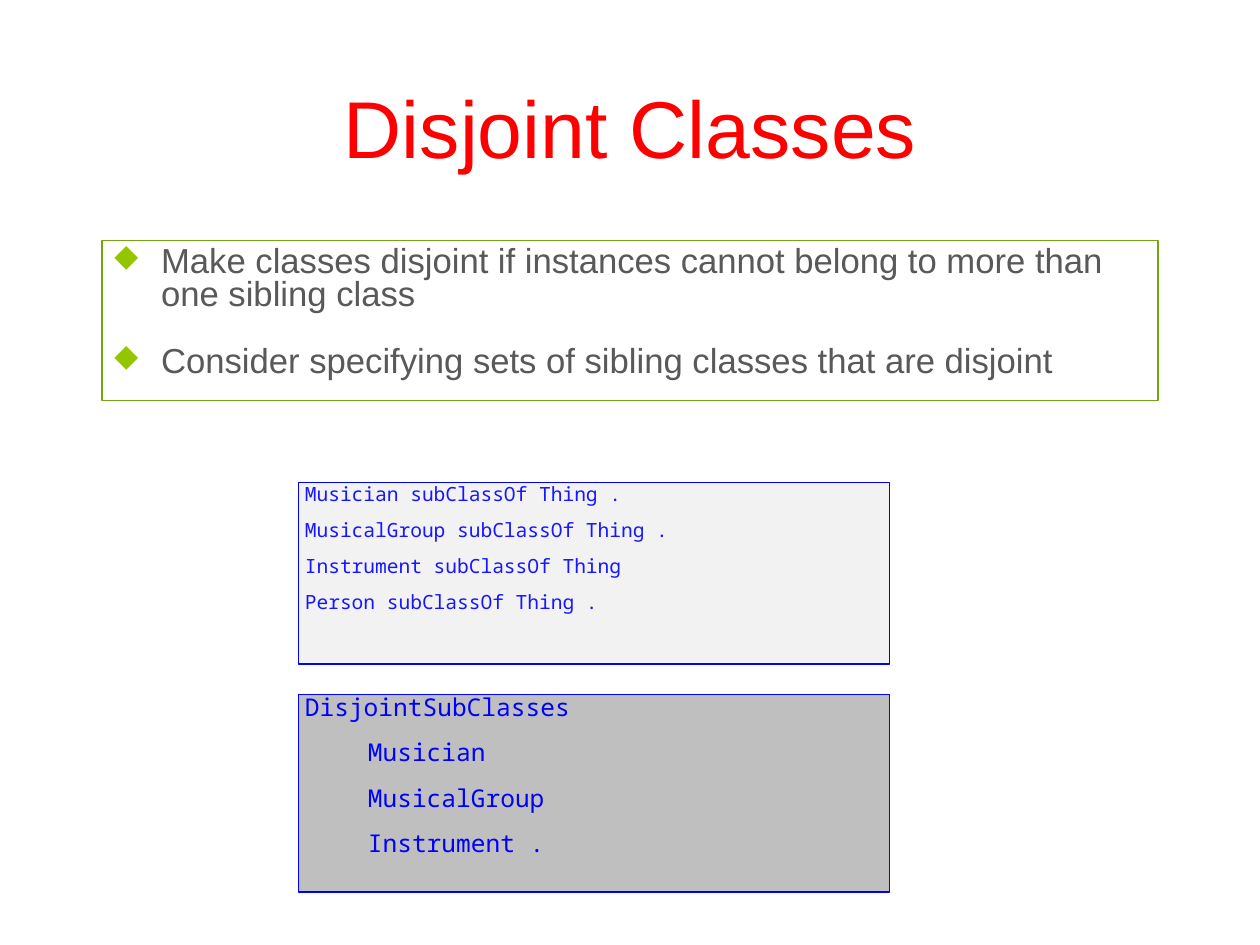
"""Build a slide on disjoint classes with two code panels."""
import pptx
import pptx.dml.color
import pptx.enum.shapes
import pptx.enum.text
import pptx.oxml.ns
import pptx.util
from lxml import etree

THEME = {
    "title": {"font": "Arial", "size": 46, "ink": "FF0000"},
    "points": {"font": "Arial", "size": 19.8, "ink": "595959", "fill": "FFFFFF",
               "line": "74A510", "gap": 19, "lead": 0.8, "mark": "94C600"},
    "code": {"font": "Noto Sans Mono", "size": 11.2, "ink": "1717FE", "fill": "F2F2F2",
             "line": "0000FF", "gap": 11, "lead": 0.7, "inset": 0.05},
    "sets": {"font": "Noto Sans Mono", "size": 14, "ink": "0000FF", "fill": "BFBFBF",
             "line": "0000FF", "gap": 14, "lead": 0.7, "inset": 0.05},
}
WIDE, HIGH = 10, 7.5
TITLE = "Disjoint Classes"
LEFT, SPAN = 2.37, 4.69
PANELS = [
    ("points", (0.81, 1.91, WIDE - 2 * 0.81, 1.27), [
        "Make classes disjoint if instances cannot belong to more than one sibling class",
        "Consider specifying sets of sibling classes that are disjoint",
    ]),
    ("code", (LEFT, 3.83, SPAN, 1.44), [
        "Musician subClassOf Thing .",
        "MusicalGroup subClassOf Thing .",
        "Instrument subClassOf Thing",
        "Person subClassOf Thing .",
    ]),
    ("sets", (LEFT, 5.51, SPAN, 1.57), [
        "DisjointSubClasses",
        "\tMusician",
        "\tMusicalGroup",
        "\tInstrument .",
    ]),
]


def color(code):
    """Turn a hex code into a colour."""
    return pptx.dml.color.RGBColor.from_string(code)


def place(shape, box):
    """Put a shape at a box given in inches."""
    shape.left, shape.top, shape.width, shape.height = map(pptx.util.Inches, box)


def style(para, look):
    """Format every run of a paragraph."""
    for run in para.runs:
        run.font.name = look["font"]
        run.font.size = pptx.util.Pt(look["size"])
        run.font.color.rgb = color(look["ink"])


def bullet(para, mark):
    """Give a paragraph a hanging diamond bullet."""
    props = para._p.get_or_add_pPr()
    indent = pptx.util.Inches(0.37)
    props.set("marL", str(indent))
    props.set("indent", str(-indent))
    tag = pptx.oxml.ns.qn
    tint = etree.SubElement(props, tag("a:buClr"))
    etree.SubElement(tint, tag("a:srgbClr"), val=mark)
    etree.SubElement(props, tag("a:buSzPct"), val="90000")
    etree.SubElement(props, tag("a:buChar"), char="◆")


def panel(slide, look, box, lines):
    """Add a framed box of text lines."""
    shape = slide.shapes.add_shape(pptx.enum.shapes.MSO_SHAPE.RECTANGLE, 0, 0, 0, 0)
    place(shape, box)
    shape.shadow.inherit = False
    shape.fill.solid()
    shape.fill.fore_color.rgb = color(look["fill"])
    shape.line.color.rgb = color(look["line"])
    shape.line.width = pptx.util.Pt(0.75)
    frame = shape.text_frame
    frame.word_wrap = True
    frame.vertical_anchor = pptx.enum.text.MSO_ANCHOR.TOP
    if "inset" in look:
        pad = pptx.util.Inches(look["inset"])
        frame.margin_left = frame.margin_right = pad
        frame.margin_top = frame.margin_bottom = pad
    frame.text = "\n".join(lines)
    for row, para in enumerate(frame.paragraphs):
        para.alignment = pptx.enum.text.PP_ALIGN.LEFT
        para.line_spacing = look["lead"]
        if row:
            para.space_before = pptx.util.Pt(look["gap"])
        if "mark" in look:
            bullet(para, look["mark"])
        style(para, look)


def main():
    """Build and save the slide."""
    deck = pptx.Presentation()
    deck.slide_width = pptx.util.Inches(WIDE)
    deck.slide_height = pptx.util.Inches(HIGH)
    slide = deck.slides.add_slide(deck.slide_layouts[5])
    title = slide.shapes.title
    place(title, (0.05 * WIDE, 0.05 * HIGH, 0.9 * WIDE, HIGH / 6))
    frame = title.text_frame
    frame.text = TITLE
    frame.auto_size = pptx.enum.text.MSO_AUTO_SIZE.NONE
    frame.vertical_anchor = pptx.enum.text.MSO_ANCHOR.MIDDLE
    frame.paragraphs[0].alignment = pptx.enum.text.PP_ALIGN.CENTER
    style(frame.paragraphs[0], THEME["title"])
    for kind, box, lines in PANELS:
        panel(slide, THEME[kind], box, lines)
    deck.save("out.pptx")


if __name__ == "__main__":
    main()
